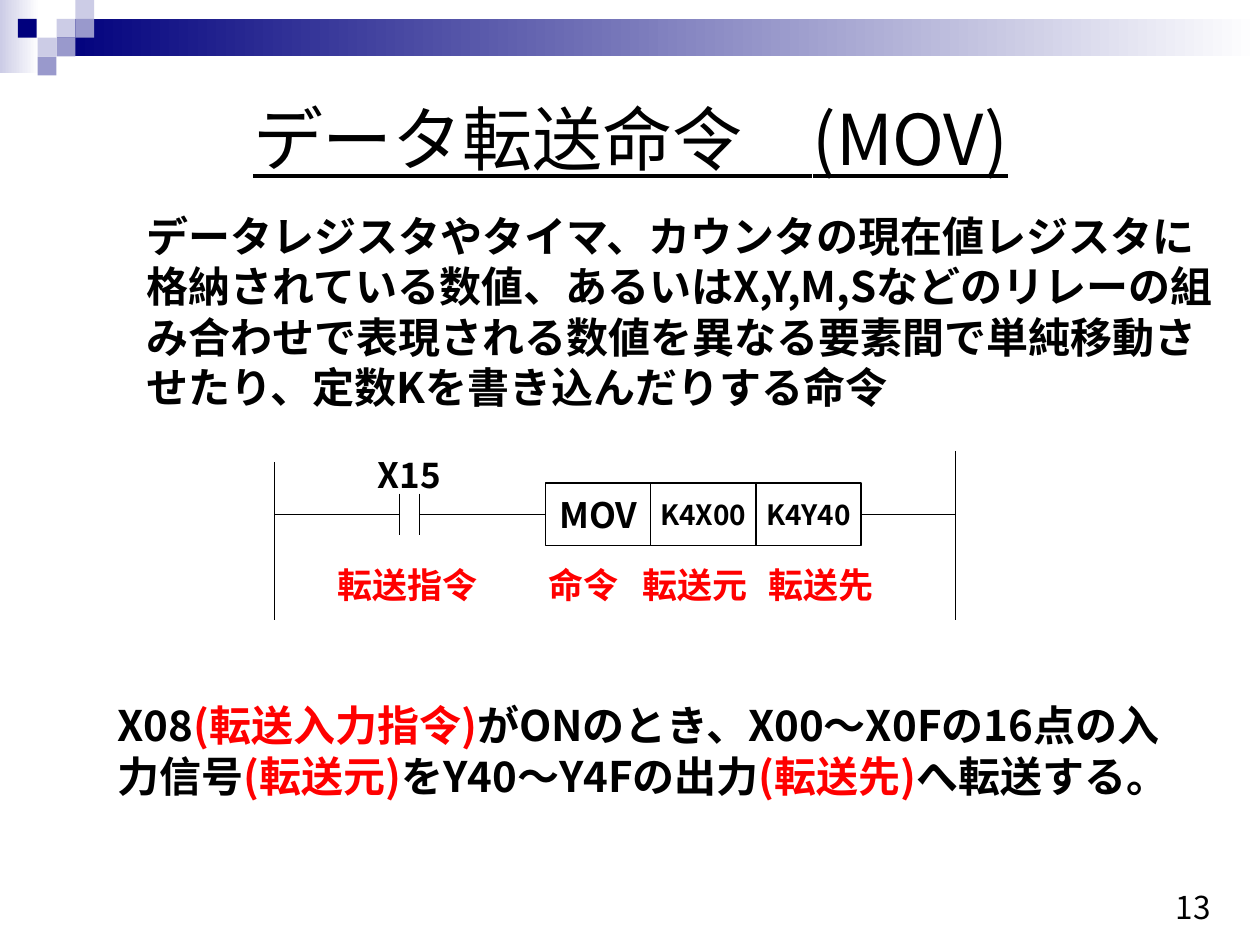
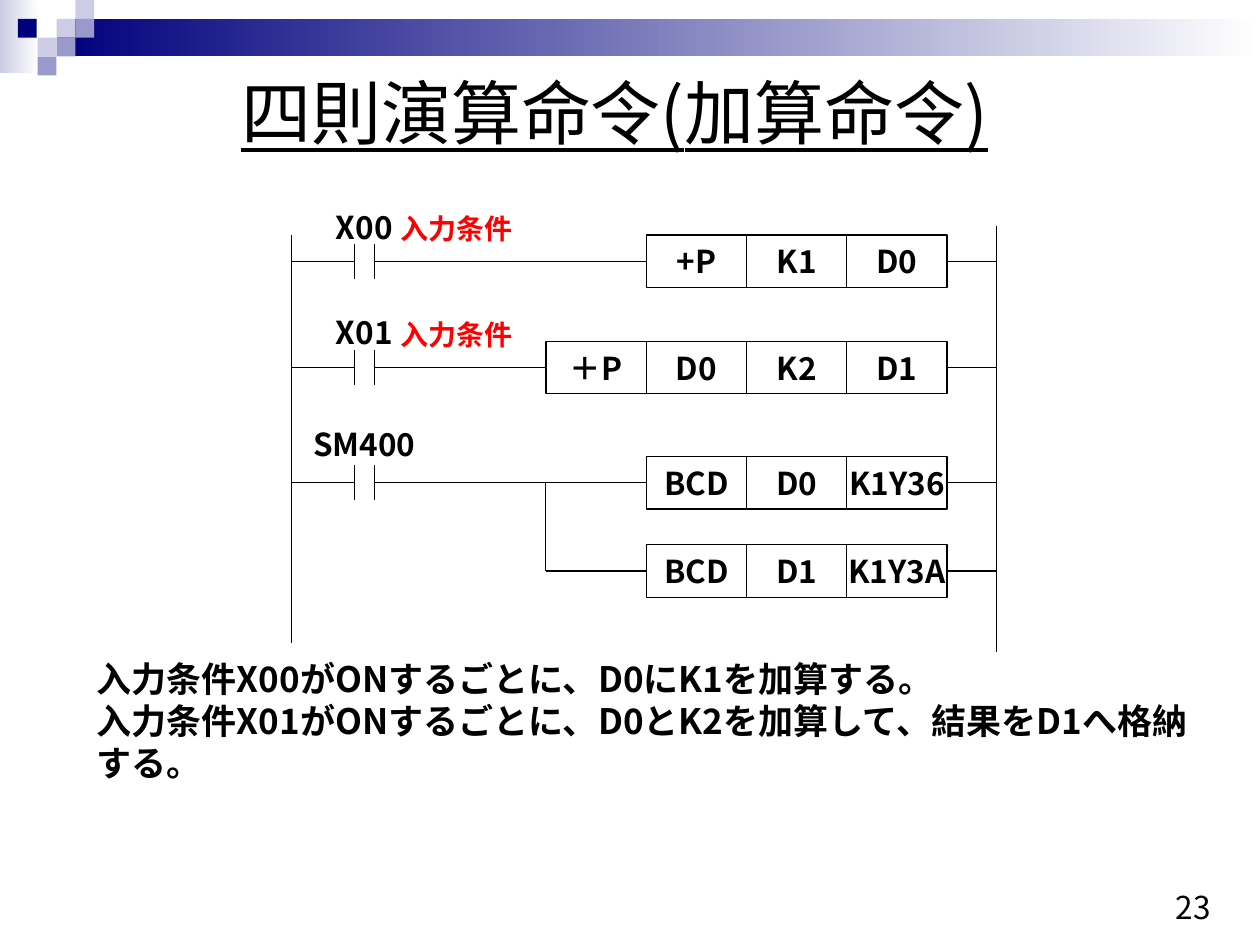
from pptx import Presentation
from pptx.dml.color import RGBColor
from pptx.enum.shapes import MSO_CONNECTOR, MSO_SHAPE
from pptx.enum.text import MSO_ANCHOR, PP_ALIGN
from pptx.oxml.ns import qn
from pptx.util import Cm, Pt
from lxml import etree

RECTANGLE = MSO_SHAPE.RECTANGLE
STRAIGHT = MSO_CONNECTOR.STRAIGHT
LEFT, CENTER = PP_ALIGN.LEFT, PP_ALIGN.CENTER
TOP, MIDDLE = MSO_ANCHOR.TOP, MSO_ANCHOR.MIDDLE

FONT = "Noto Sans CJK JP"
COLORS = {
    "ink": "000000",
    "paper": "FFFFFF",
    "red": "FF0000",
    "navy": "00007D",
    "violet": "9999CC",
    "lavender": "CCCCE6",
}
SLIDE_WIDTH, SLIDE_HEIGHT = 25.4, 19.05
TILE = 0.38
TILES = [
    (3, 1, "lavender"), (4, 0, "lavender"), (4, 1, "violet"),
    (2, 2, "lavender"), (3, 2, "violet"), (2, 3, "violet"),
]
CONTACT_GAP = 0.41


def color(name):
    """Return the named colour."""
    return RGBColor.from_string(COLORS[name])


def write(shape, paragraphs, size=18, bold=True, underline=False, ink="ink",
          align=LEFT, anchor=TOP, wrap=True):
    """Fill a shape with paragraphs, each a string or a list of (text, colour) runs."""
    frame = shape.text_frame
    frame.word_wrap = wrap
    frame.vertical_anchor = anchor
    for index, content in enumerate(paragraphs):
        paragraph = frame.add_paragraph() if index else frame.paragraphs[0]
        paragraph.alignment = align
        runs = [(content, ink)] if isinstance(content, str) else content
        for text, run_color in runs:
            run = paragraph.add_run()
            run.text = text
            font = run.font
            font.name, font.size, font.bold = FONT, Pt(size), bold
            font.underline = underline
            font.color.rgb = color(run_color)
            east_asian = etree.SubElement(run._r.get_or_add_rPr(), qn("a:ea"))
            east_asian.set("typeface", FONT)


def add_text(slide, box, *paragraphs, **style):
    """Add a text box at (left, top, width, height)."""
    shape = slide.shapes.add_textbox(*map(Cm, box))
    write(shape, paragraphs, **style)


def add_label(slide, center_x, center_y, text, **style):
    """Add a one-line label centred on a point."""
    width, height = 4, 1
    add_text(slide, (center_x - width / 2, center_y - height / 2, width, height),
             text, align=CENTER, anchor=MIDDLE, wrap=False, **style)


def add_rectangle(slide, box, *fills):
    """Add a borderless rectangle with one fill or a left-to-right gradient of two."""
    shape = slide.shapes.add_shape(RECTANGLE, *map(Cm, box))
    shape.shadow.inherit = False
    shape.line.fill.background()
    if len(fills) == 1:
        shape.fill.solid()
        shape.fill.fore_color.rgb = color(fills[0])
    else:
        shape.fill.gradient()
        shape.fill.gradient_angle = 0
        for stop, name in zip(shape.fill.gradient_stops, fills):
            stop.color.rgb = color(name)
    return shape


def add_line(slide, *ends):
    """Add a thin line from (x, y) to (x, y)."""
    line = slide.shapes.add_connector(STRAIGHT, *map(Cm, ends))
    line.line.color.rgb = color("ink")
    line.line.width = Pt(0.75)
    etree.SubElement(line._element.spPr, qn("a:effectLst"))


def add_frame(slide, title, title_left, title_top, number):
    """Add the header band, tiles, title and page number."""
    add_rectangle(slide, (0, 0, 0.79, 1.47), "lavender", "paper")
    band_left = 3 * TILE
    add_rectangle(slide, (band_left, TILE, SLIDE_WIDTH - band_left, 2 * TILE),
                  "navy", "paper")
    for column, row, name in TILES:
        add_rectangle(slide, (column * TILE, row * TILE, TILE, TILE), name)
    add_rectangle(slide, (0.36, TILE, TILE, TILE), "navy")
    add_text(slide, (title_left, title_top, 22.02, 1.96), title,
             size=40, bold=False, underline=True, align=CENTER)
    add_text(slide, (22.71, 17.53, 2.69, 1.52), number,
             bold=False, align=CENTER, anchor=MIDDLE)


def add_rails(slide, box, overhang):
    """Add the two power rails, the right one longer at the top and bottom."""
    left, top, width, height = box
    right = left + width
    above, below = overhang
    add_line(slide, left, top, left, top + height)
    add_line(slide, right, top - above, right, top + height + below)


def add_contact(slide, x, y, height, label, rise, size):
    """Add an open contact centred on a wire, with its label above."""
    for bar_x in (x, x + CONTACT_GAP):
        add_line(slide, bar_x, y - height / 2, bar_x, y + height / 2)
    add_label(slide, x + CONTACT_GAP / 2, y - rise, label, size=size)


def add_cells(slide, right, y, cell, contents):
    """Add instruction cells that end at the right edge and return their left edge."""
    width, height = cell
    left = right - width * len(contents)
    for index, (text, size) in enumerate(contents):
        box = (left + index * width, y - height / 2, width, height)
        shape = add_rectangle(slide, box, "paper")
        shape.line.color.rgb = color("ink")
        shape.line.width = Pt(0.75)
        write(shape, [text], size=size, align=CENTER, anchor=MIDDLE, wrap=False)
    return left


def add_rung(slide, rails, y, contact_x, cells_left, cells_right):
    """Add the wires from rail to contact, contact to cells and cells to rail."""
    left, _, width, _ = rails
    add_line(slide, left, y, contact_x, y)
    add_line(slide, contact_x + CONTACT_GAP, y, cells_left, y)
    add_line(slide, cells_right, y, left + width, y)


def build_transfer_slide(slide):
    """Build the slide on the MOV instruction."""
    add_frame(slide, "データ転送命令　(MOV)", 1.7, 1.8, "13")
    add_text(slide, (2.7, 4.12, 22.05, 4.37),
             "データレジスタやタイマ、カウンタの現在値レジスタに格納されている数値、"
             "あるいはX,Y,M,Sなどのリレーの組み合わせで表現される数値を異なる要素間で"
             "単純移動させたり、定数Kを書き込んだりする命令", size=24)
    rails = (5.53, 9.32, 13.73, 3.18)
    wire_y, contact_x, cells_right = 10.37, 8.05, 17.36
    add_rails(slide, rails, (0.23, 0))
    add_contact(slide, contact_x, wire_y, 0.84, "X15", 0.8, 20)
    cells_left = add_cells(slide, cells_right, wire_y, (2.12, 1.27),
                           [("MOV", 20), ("K4X00", 16), ("K4Y40", 16)])
    add_rung(slide, rails, wire_y, contact_x, cells_left, cells_right)
    for center_x, text in [(8.22, "転送指令"), (11.76, "命令"),
                           (14.01, "転送元"), (16.55, "転送先")]:
        add_label(slide, center_x, 11.78, text, size=20, ink="red")
    add_text(slide, (2.12, 13.98, 21.79, 2.31), [
        ("X08", "ink"), ("(転送入力指令)", "red"),
        ("がONのとき、X00～X0Fの16点の入力信号", "ink"), ("(転送元)", "red"),
        ("をY40～Y4Fの出力", "ink"), ("(転送先)", "red"), ("へ転送する。", "ink"),
    ], size=24)


def build_addition_slide(slide):
    """Build the slide on the addition instruction."""
    add_frame(slide, "四則演算命令(加算命令)", 1.38, 1.28, "23")
    rails = (5.88, 4.73, 14.21, 8.23)
    contact_x, cells_right, cell = 7.14, 19.09, (2.02, 1.06)
    add_rails(slide, rails, (0.18, 0.18))
    rungs = [
        (5.27, "X00", 0.69, ["+P", "K1", "D0"]),
        (7.41, "X01", 0.72, ["＋P", "D0", "K2", "D1"]),
        (9.73, "SM400", 0.79, ["BCD", "D0", "K1Y36"]),
    ]
    for wire_y, label, rise, texts in rungs:
        add_contact(slide, contact_x, wire_y, 0.71, label, rise, 18)
        cells_left = add_cells(slide, cells_right, wire_y, cell,
                               [(text, 18) for text in texts])
        add_rung(slide, rails, wire_y, contact_x, cells_left, cells_right)
    for wire_y, *_ in rungs[:2]:
        add_label(slide, 9.21, wire_y - 0.67, "入力条件", size=16, ink="red")

    branch_x, branch_top, branch_y = 11, rungs[-1][0], 11.51
    cells_left = add_cells(slide, cells_right, branch_y, cell,
                           [(text, 18) for text in ("BCD", "D1", "K1Y3A")])
    add_line(slide, branch_x, branch_top, branch_x, branch_y)
    add_line(slide, branch_x, branch_y, cells_left, branch_y)
    add_line(slide, cells_right, branch_y, rails[0] + rails[2], branch_y)
    add_text(slide, (1.7, 13.13, 22.94, 1.96),
             "入力条件X00がONするごとに、D0にK1を加算する。",
             "入力条件X01がONするごとに、D0とK2を加算して、結果をD1へ格納する。",
             size=20)


def main():
    """Build and save the presentation."""
    presentation = Presentation()
    presentation.slide_width = Cm(SLIDE_WIDTH)
    presentation.slide_height = Cm(SLIDE_HEIGHT)
    blank = presentation.slide_layouts[6]
    for build in (build_transfer_slide, build_addition_slide):
        build(presentation.slides.add_slide(blank))
    presentation.save("out.pptx")


if __name__ == "__main__":
    main()
